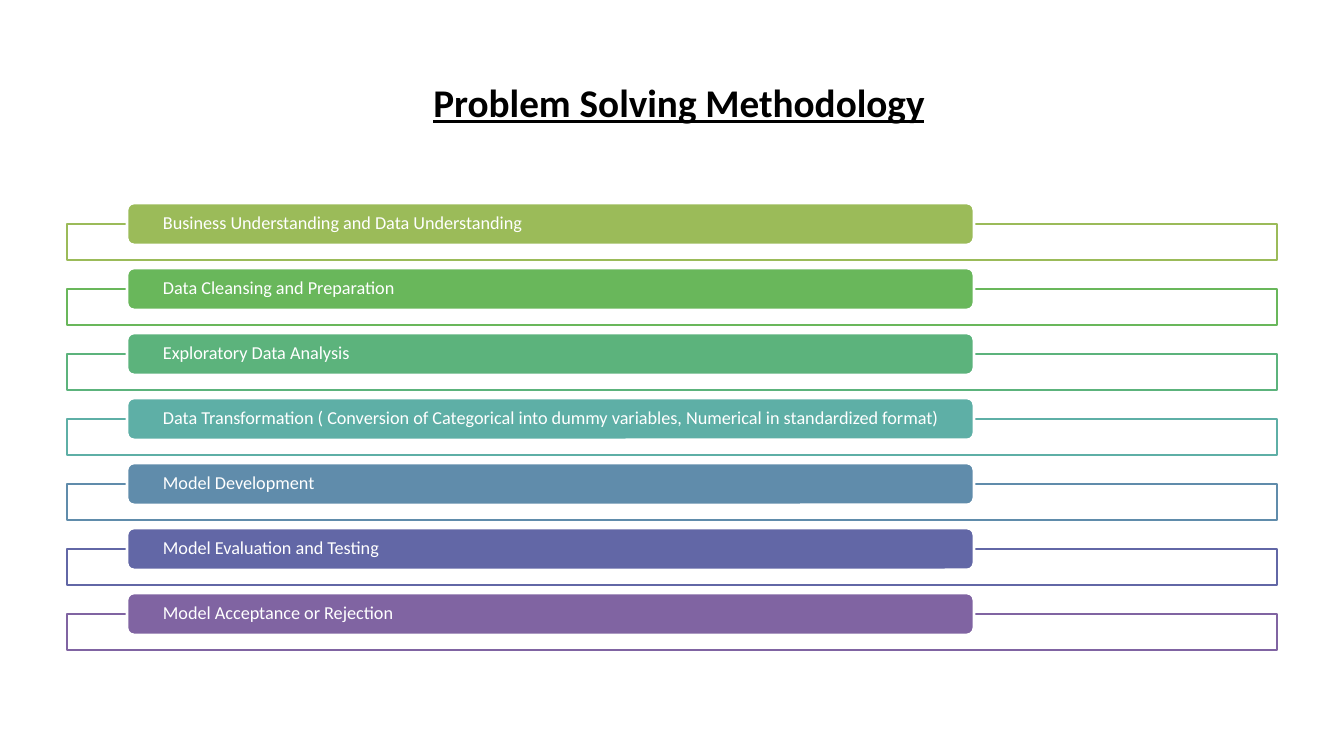
import pptx
import pptx.util
import pptx.dml.color
import pptx.enum.shapes
import pptx.enum.text
import pptx.oxml.ns
import lxml.etree
from dataclasses import dataclass

PX = 12192000 // 1344  # EMU per px


@dataclass(frozen=True)
class Theme:
    font: str = "Calibri"
    ink: str = "000000"
    paper: str = "FFFFFF"
    lead_size: int = 44
    title_size: int = 28
    step_size: int = 13
    line_width: int = 2
    frame_alpha: int = 90


THEME = Theme()

STEPS = [
    ("Business Understanding and Data Understanding", "9BBB59"),
    ("Data Cleansing and Preparation", "69B75B"),
    ("Exploratory Data Analysis", "5CB37C"),
    ("Data Transformation ( Conversion of Categorical into dummy variables, "
     "Numerical in standardized format)", "5EAFA6"),
    ("Model Development", "608CAB"),
    ("Model Evaluation and Testing", "6267A6"),
    ("Model Acceptance or Rejection", "8064A2"),
]


def rgb(color):
    return pptx.dml.color.RGBColor.from_string(color)


def add_block(slide, kind, box, fill, line):
    block = slide.shapes.add_shape(kind, *(length * PX for length in box))
    block.shadow.inherit = False
    block.fill.solid()
    block.fill.fore_color.rgb = rgb(fill)
    block.line.color.rgb = rgb(line)
    block.line.width = pptx.util.Pt(THEME.line_width)
    return block


def set_alpha(block, percent):
    qn = pptx.oxml.ns.qn
    color = block.fill._xPr.find(qn("a:solidFill")).find(qn("a:srgbClr"))
    lxml.etree.SubElement(color, qn("a:alpha"), val=str(percent * 1000))


def add_title(slide, box):
    title = slide.shapes.title
    title.left, title.top, title.width, title.height = (n * PX for n in box)
    title.text_frame.vertical_anchor = pptx.enum.text.MSO_ANCHOR.MIDDLE
    heading = title.text_frame.paragraphs[0]
    heading.alignment = pptx.enum.text.PP_ALIGN.CENTER
    # The larger lead space sets the height of the title line
    for words, size, underline in (
        (" ", THEME.lead_size, False),
        ("Problem Solving Methodology", THEME.title_size, True),
    ):
        run = heading.add_run()
        run.text = words
        run.font.name = THEME.font
        run.font.size = pptx.util.Pt(size)
        run.font.bold = True
        run.font.underline = underline
        run.font.color.rgb = rgb(THEME.ink)


def add_step(slide, box, label, color):
    left, top, width, height = box
    shapes = pptx.enum.shapes.MSO_SHAPE

    # Outlined frame behind the lower part of the bar
    frame_drop = 21
    frame = add_block(slide, shapes.RECTANGLE,
                      (left, top + frame_drop, width, height - frame_drop),
                      THEME.paper, color)
    set_alpha(frame, THEME.frame_alpha)

    # Labelled bar: a twentieth in, seven tenths wide
    bar = add_block(slide, shapes.ROUNDED_RECTANGLE,
                    (left + width // 20, top, width * 7 // 10, 42),
                    color, THEME.paper)
    text = bar.text_frame
    text.word_wrap = True
    text.vertical_anchor = pptx.enum.text.MSO_ANCHOR.MIDDLE
    text.margin_left = text.margin_right = 34 * PX
    text.margin_top = text.margin_bottom = 0
    paragraph = text.paragraphs[0]
    paragraph.text = label
    paragraph.alignment = pptx.enum.text.PP_ALIGN.LEFT
    paragraph.line_spacing = 0.9
    paragraph.font.name = THEME.font
    paragraph.font.size = pptx.util.Pt(THEME.step_size)
    paragraph.font.color.rgb = rgb(THEME.paper)


def add_steps(slide, box):
    left, top, width, height = box
    pitch = height // len(STEPS)
    for row, (label, color) in enumerate(STEPS):
        add_step(slide, (left, top + row * pitch, width, 57), label, color)


def main():
    deck = pptx.Presentation()
    deck.slide_width = 1344 * PX
    deck.slide_height = 756 * PX
    slide = deck.slides.add_slide(deck.slide_layouts.get_by_name("Title Only"))
    add_title(slide, (67, 30, 1210, 126))
    add_steps(slide, (67, 203, 1210, 455))
    deck.save("out.pptx")


if __name__ == "__main__":
    main()
